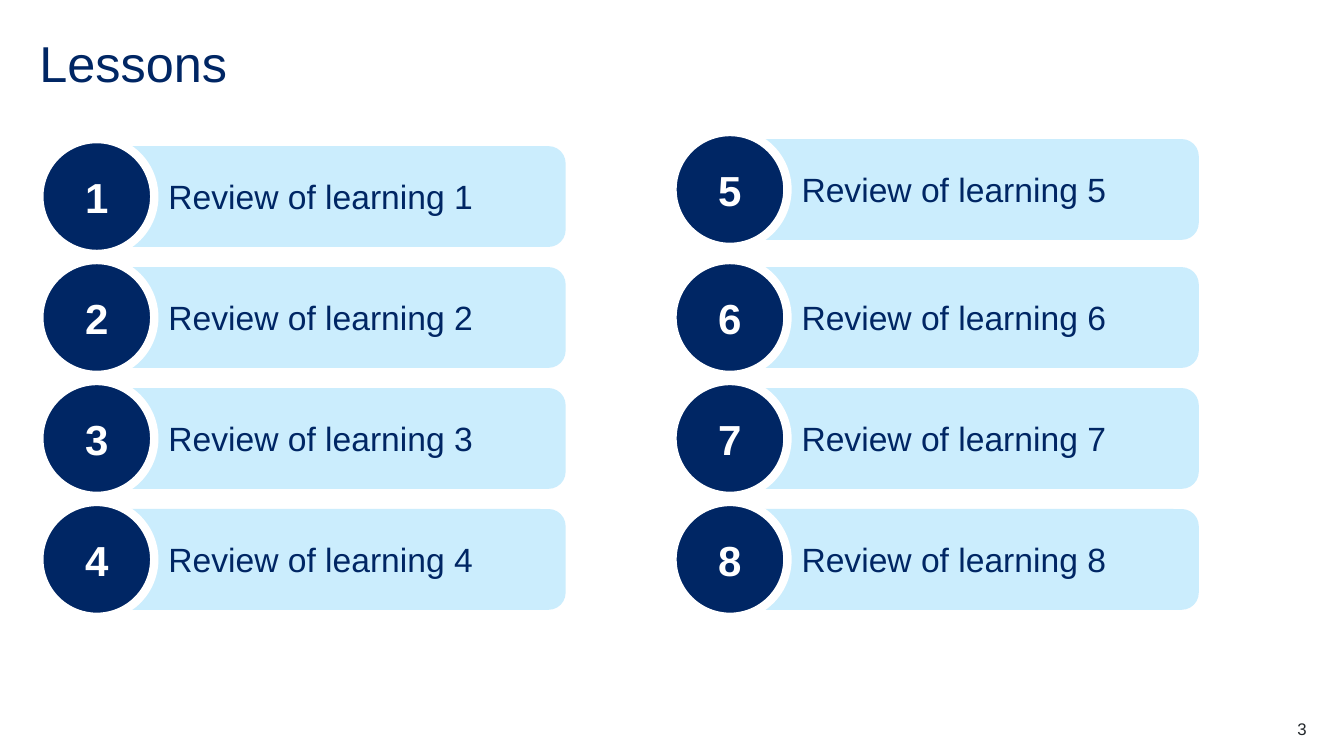
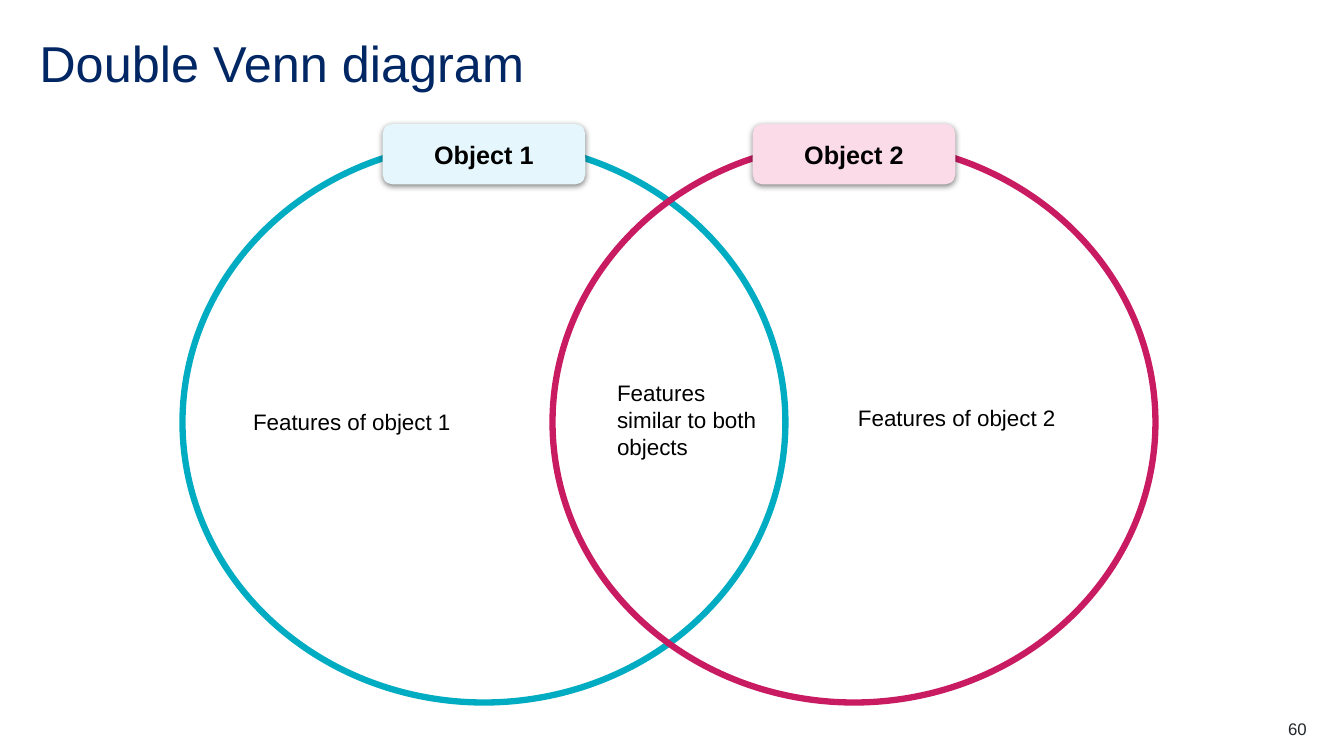
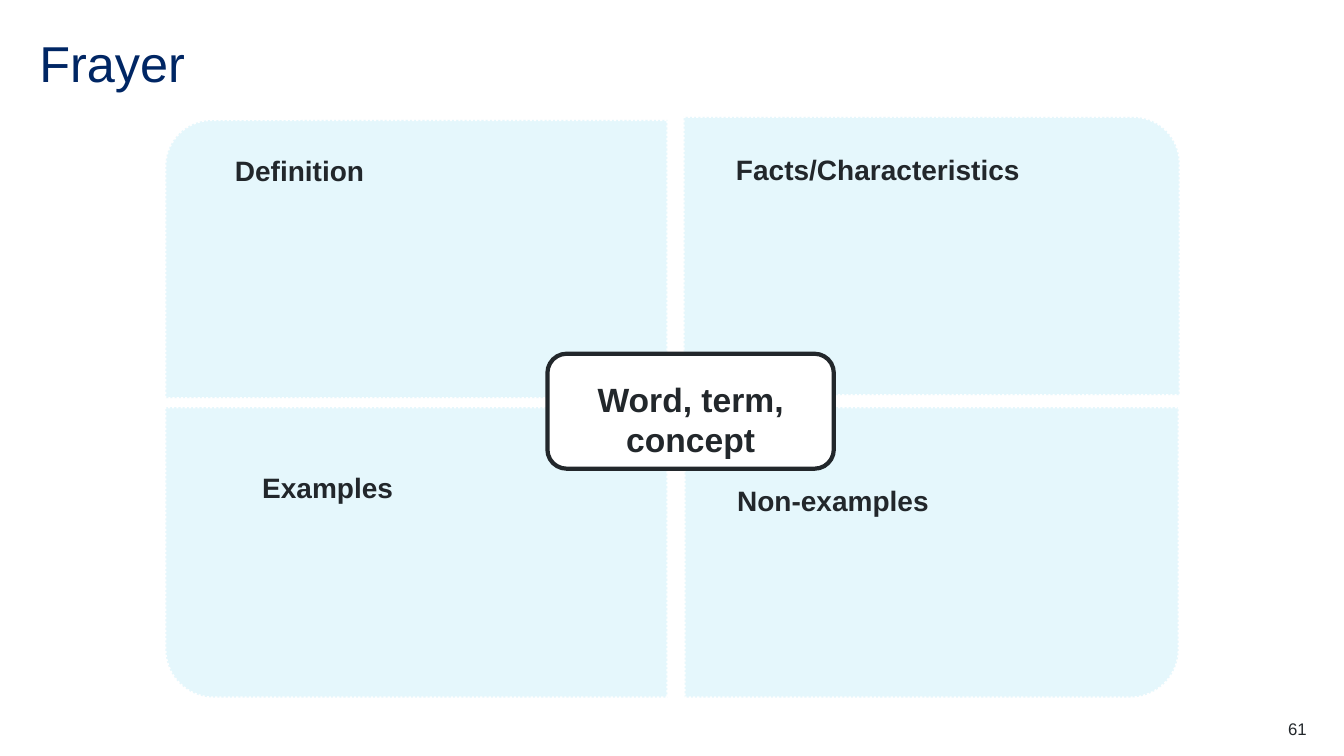
from lxml.etree import SubElement
from pptx import Presentation
from pptx.dml.color import RGBColor
from pptx.enum.dml import MSO_LINE
from pptx.enum.shapes import MSO_SHAPE as Kind
from pptx.enum.text import MSO_ANCHOR as Anchor, MSO_AUTO_SIZE as Auto, PP_ALIGN as Align
from pptx.oxml.ns import qn
from pptx.util import Inches, Pt

FONT = "Arial"
NAVY, INK, BLACK, WHITE = "002664", "22272B", "000000", "FFFFFF"
SKY, ICE, PINK = "CBEDFD", "E5F7FC", "FBDBE7"
TEAL, ROSE = "00ACC2", "C81B62"


def rgb(code):
    """Turn a hex string into a colour."""
    return RGBColor.from_string(code)


def write(shape, text, size, color, bold=False, align=Align.LEFT,
          anchor=Anchor.TOP, pad=(0, 0, 0, 0), spacing=None):
    """Set the text of a shape in one style."""
    frame = shape.text_frame
    frame.word_wrap = True
    frame.auto_size = Auto.NONE
    frame.vertical_anchor = anchor
    (frame.margin_left, frame.margin_top,
     frame.margin_right, frame.margin_bottom) = [Inches(v) for v in pad]
    frame.text = text
    para = frame.paragraphs[0]
    para.alignment = align
    if spacing:
        para.line_spacing = spacing
    font = para.font
    font.name, font.size, font.bold = FONT, Pt(size), bold
    font.color.rgb = rgb(color)


def draw(shapes, kind, box, fill=None, line=None, width=1):
    """Add a flat preset shape."""
    shape = shapes.add_shape(kind, *[Inches(v) for v in box])
    shape.shadow.inherit = False
    if fill:
        shape.fill.solid()
        shape.fill.fore_color.rgb = rgb(fill)
    else:
        shape.fill.background()
    if line:
        shape.line.color.rgb = rgb(line)
        shape.line.width = Pt(width)
    else:
        shape.line.fill.background()
    return shape


def label(shapes, box, text, size, color, **style):
    """Add a text box."""
    write(shapes.add_textbox(*[Inches(v) for v in box]), text, size, color, **style)


def shade(shape):
    """Give a shape a soft shadow below it."""
    effects = shape._element.spPr.find(qn("a:effectLst"))
    outer = SubElement(effects, qn("a:outerShdw"), blurRad=str(Pt(4.5)),
                       dist=str(Pt(1.5)), dir="5400000", rotWithShape="0")
    color = SubElement(outer, qn("a:srgbClr"), val=BLACK)
    SubElement(color, qn("a:alpha"), val="50000")


def start(deck, title, number):
    """Add a slide with its title and number."""
    slide = deck.slides.add_slide(deck.slide_layouts[5])
    head = slide.shapes.title
    head.left, head.top, head.width, head.height = [
        Inches(v) for v in (0.39, 0.39, 12.56, 0.6)]
    write(head, title, 36, NAVY, spacing=0.9)
    label(slide.shapes, (12.17, 7.13, 0.79, 0.2), str(number), 12, INK, align=Align.RIGHT)
    return slide.shapes


def lesson(shapes, left, top, number):
    """Draw one numbered lesson bar."""
    group = shapes.add_group_shape().shapes
    bar = draw(group, Kind.ROUNDED_RECTANGLE, (left + 0.74, top + 0.07, 4.48, 1), SKY)
    bar.adjustments[0] = 0.17
    write(bar, f"Review of learning {number}", 24, NAVY, anchor=Anchor.MIDDLE,
          pad=(0.49, 0.05, 0.1, 0.05))
    disc = draw(group, Kind.OVAL, (left, top, 1.14, 1.14), NAVY, WHITE, 6)
    write(disc, str(number), 30, WHITE, bold=True, align=Align.CENTER, anchor=Anchor.MIDDLE)


def lessons(deck):
    """Build the list of lessons."""
    shapes = start(deck, "Lessons", 3)
    for col, (left, lift) in enumerate([(0.39, 0), (6.67, 0.07)]):
        for row in range(4):
            top = 1.38 + 1.2 * row - (lift if row == 0 else 0)
            lesson(shapes, left, top, 4 * col + row + 1)


def ring(shapes, left, top, name, line, fill):
    """Draw one circle with its name tag."""
    wide, tag = 5.98, 2.01
    group = shapes.add_group_shape().shapes
    draw(group, Kind.OVAL, (left, top, wide, 5.56), line=line, width=4.5)
    plate = draw(group, Kind.ROUNDED_RECTANGLE,
                 (left + (wide - tag) / 2, top - 0.18, tag, 0.6), fill)
    shade(plate)
    write(plate, name, 18, BLACK, bold=True, align=Align.CENTER, anchor=Anchor.MIDDLE)


def venn(deck):
    """Build the two-circle diagram."""
    shapes = start(deck, "Double Venn diagram", 60)
    ring(shapes, 1.81, 1.41, "Object 1", TEAL, ICE)
    ring(shapes, 5.48, 1.41, "Object 2", ROSE, PINK)
    for box, text in [
        ((2.38, 3.92, 3.11, 0.53), "Features of object 1"),
        ((5.99, 3.63, 1.65, 1.12), "Features similar to both objects"),
        ((8.38, 3.88, 2.5, 0.53), "Features of object 2"),
    ]:
        label(shapes, box, text, 16, BLACK, pad=(0.13,) * 4)


def panel(shapes, box, turn, text, inset):
    """Draw one panel, its round corner turned outward, with a heading."""
    left, top, wide, high = box
    across, down = (high, wide) if turn % 180 else (wide, high)
    place = (left + (wide - across) / 2, top + (high - down) / 2, across, down)
    card = draw(shapes, Kind.ROUND_1_RECTANGLE, place, ICE, WHITE, 1.5)
    card.line.dash_style = MSO_LINE.ROUND_DOT
    card.rotation = turn
    dx, dy = inset
    label(shapes, (left + dx, top + dy, wide - dx - 0.17, 0.4), text, 20, INK,
          bold=True, spacing=0.9)


def frayer(deck):
    """Build the four-panel word model."""
    shapes = start(deck, "Frayer", 61)
    for box, turn, text, inset in [
        ((1.64, 1.19, 4.98, 2.76), 270, "Definition", (0.69, 0.37)),
        ((6.78, 1.16, 4.92, 2.76), 0, "Facts/Characteristics", (0.52, 0.39)),
        ((1.64, 4.04, 4.98, 2.88), 180, "Examples", (0.96, 0.67)),
        ((6.79, 4.04, 4.9, 2.88), 90, "Non-examples", (0.52, 0.79)),
    ]:
        panel(shapes, box, turn, text, inset)
    core = draw(shapes, Kind.ROUNDED_RECTANGLE, (5.43, 3.51, 2.84, 1.14), WHITE, INK, 3)
    write(core, "Word, term, concept", 24, INK, bold=True, align=Align.CENTER,
          anchor=Anchor.MIDDLE, pad=(0.11, 0.15, 0.11, 0))


def main():
    """Build and save the deck."""
    deck = Presentation()
    deck.slide_width, deck.slide_height = Inches(13.33), Inches(7.5)
    for build in (lessons, venn, frayer):
        build(deck)
    deck.save("out.pptx")


if __name__ == "__main__":
    main()
